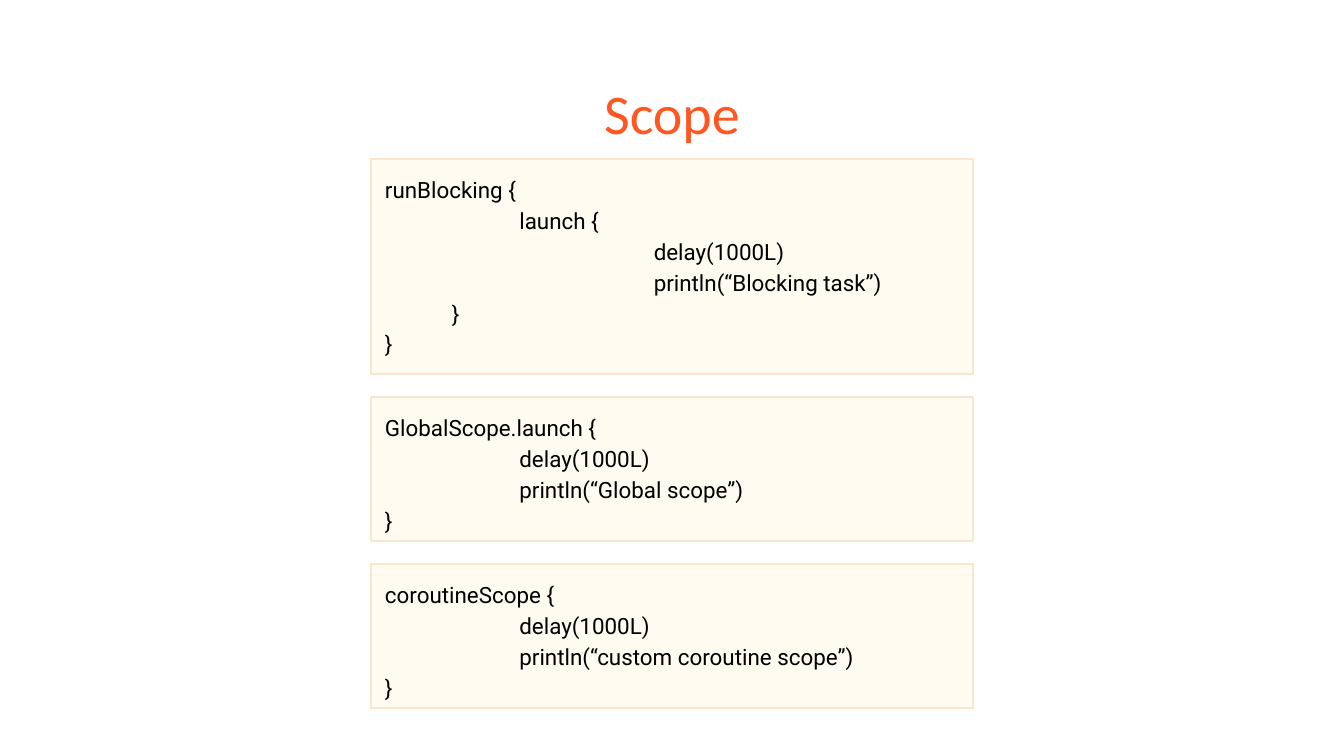
import dataclasses

import pptx
import pptx.dml.color
import pptx.enum.shapes
import pptx.enum.text
import pptx.util

EMU_PER_PX = 914400 / 134.4
SIDE_INSET, END_INSET = 14, 13
TAB_SIZE = pptx.util.Inches(1)
BOX_LEFT, BOX_TOP, BOX_WIDTH, BOX_GAP = 371, 159, 602, 23

TITLE_FONT = {"name": "Calibri", "size": pptx.util.Pt(30)}
CODE_FONT = {"name": "Roboto", "size": pptx.util.Pt(12)}


@dataclasses.dataclass
class CodeLine:
    text: str
    tabs: int = 0
    indent: int = 0


@dataclasses.dataclass
class CodeBox:
    height: int
    lines: list[CodeLine]


CODE_BOXES = [
    CodeBox(215, [
        CodeLine("runBlocking {"),
        CodeLine("launch {", tabs=1),
        CodeLine("delay(1000L)", tabs=2),
        CodeLine("println(“Blocking task”)", tabs=2),
        CodeLine("}", indent=67),
        CodeLine("}"),
    ]),
    CodeBox(144, [
        CodeLine("GlobalScope.launch {"),
        CodeLine("delay(1000L)", tabs=1),
        CodeLine("println(“Global scope”)", tabs=1),
        CodeLine("}"),
    ]),
    CodeBox(144, [
        CodeLine("coroutineScope {"),
        CodeLine("delay(1000L)", tabs=1),
        CodeLine("println(“custom coroutine scope”)", tabs=1),
        CodeLine("}"),
    ]),
]


def px(length: int) -> int:
    return round(length * EMU_PER_PX)


def color(value: str) -> pptx.dml.color.RGBColor:
    return pptx.dml.color.RGBColor.from_string(value)


def apply_format(target, values: dict) -> None:
    for name, value in values.items():
        setattr(target, name, value)


def format_frame(frame) -> None:
    apply_format(frame, {
        "word_wrap": True,
        "auto_size": pptx.enum.text.MSO_AUTO_SIZE.NONE,
        "vertical_anchor": pptx.enum.text.MSO_ANCHOR.TOP,
        "margin_left": px(SIDE_INSET),
        "margin_top": px(END_INSET),
        "margin_right": px(SIDE_INSET),
        "margin_bottom": px(END_INSET),
    })


def add_run(paragraph, text: str, font_values: dict, font_color: str) -> None:
    run = paragraph.add_run()
    run.text = text
    apply_format(run.font, font_values)
    run.font.color.rgb = color(font_color)


def format_code_paragraph(paragraph, indent: int) -> None:
    apply_format(paragraph, {
        "alignment": pptx.enum.text.PP_ALIGN.LEFT,
        "line_spacing": 1.15,
    })
    properties = paragraph._p.get_or_add_pPr()
    properties.set("marL", "0")
    properties.set("indent", str(px(indent)))
    properties.set("defTabSz", str(int(TAB_SIZE)))


def add_code_box(slide, box: CodeBox, top: int) -> None:
    shape = slide.shapes.add_shape(
        pptx.enum.shapes.MSO_SHAPE.RECTANGLE,
        px(BOX_LEFT), px(top), px(BOX_WIDTH), px(box.height))
    shape.shadow.inherit = False
    shape.fill.solid()
    shape.fill.fore_color.rgb = color("FFFBF0")
    shape.line.color.rgb = color("FCE5CD")
    shape.line.width = pptx.util.Pt(0.75)
    frame = shape.text_frame
    format_frame(frame)
    for index, line in enumerate(box.lines):
        paragraph = frame.add_paragraph() if index else frame.paragraphs[0]
        format_code_paragraph(paragraph, line.indent)
        add_run(paragraph, "\t" * line.tabs + line.text, CODE_FONT, "000000")


def add_title(slide, text: str) -> None:
    title = slide.shapes.title
    apply_format(title, {
        "left": px(46), "top": px(66), "width": px(1252), "height": px(85),
    })
    format_frame(title.text_frame)
    paragraph = title.text_frame.paragraphs[0]
    paragraph.alignment = pptx.enum.text.PP_ALIGN.CENTER
    add_run(paragraph, text, TITLE_FONT, "FF5722")


def main() -> None:
    presentation = pptx.Presentation()
    presentation.slide_width = px(1344)
    presentation.slide_height = px(756)
    # Title Only layout
    slide = presentation.slides.add_slide(presentation.slide_layouts[5])
    add_title(slide, "Scope")

    # Code boxes, stacked with equal gaps
    top = BOX_TOP
    for box in CODE_BOXES:
        add_code_box(slide, box, top)
        top += box.height + BOX_GAP

    presentation.save("out.pptx")


if __name__ == "__main__":
    main()
